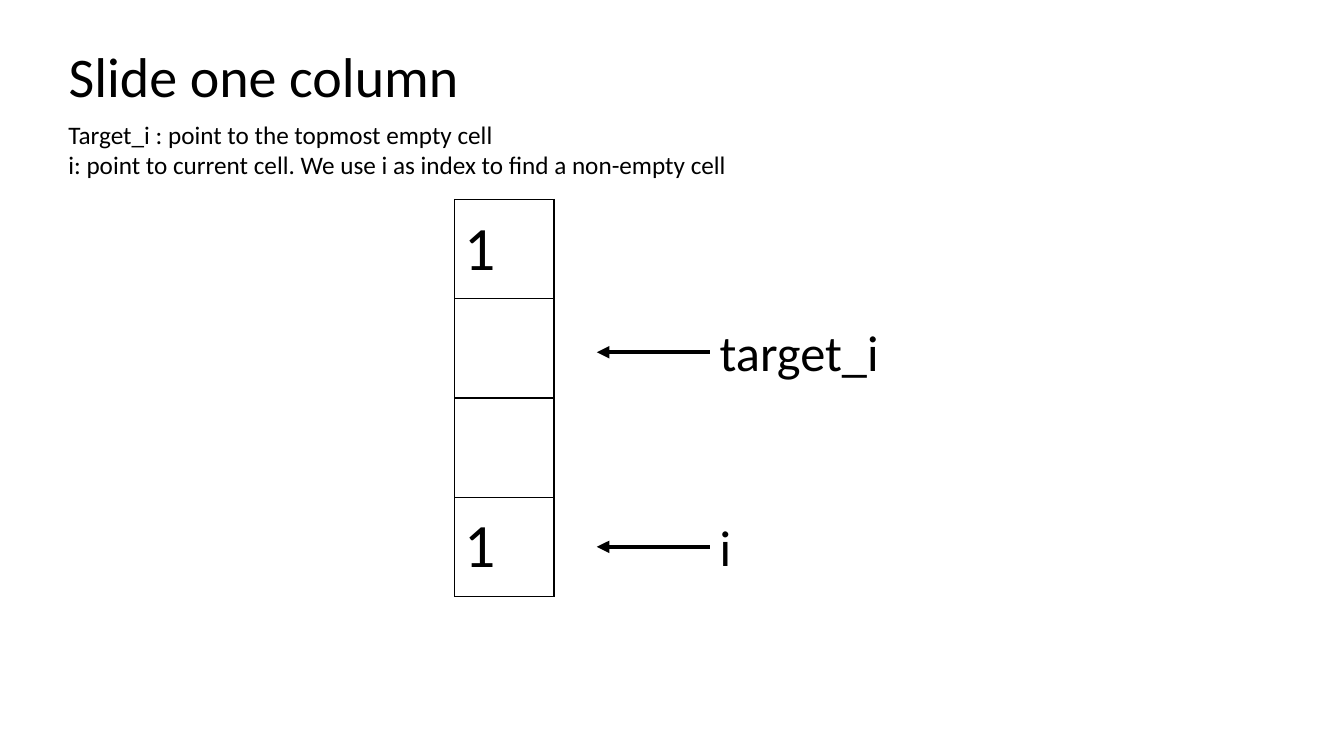
from lxml.etree import SubElement
from pptx import Presentation
from pptx.dml.color import RGBColor
from pptx.enum.shapes import MSO_CONNECTOR
from pptx.enum.text import MSO_ANCHOR, MSO_AUTO_SIZE, PP_ALIGN
from pptx.oxml.ns import qn
from pptx.util import Inches, Pt

TITLE = "Slide one column"
NOTES = [
    "Target_i : point to the topmost empty cell",
    "i: point to current cell. We use i as index to find a non-empty cell",
]
COLUMN = ["1", "", "", "1"]
POINTERS = [("target_i", 3.14), ("i", 5.07)]

FONT = "Calibri"
BLACK = "000000"
CELL_SIZE = 0.985
COLUMN_LEFT, COLUMN_TOP = 4.51, 1.98
POINTER_LEFT, ARROW_TIP = 7.04, 5.92
LABEL_WIDTH, LABEL_HEIGHT = 4.63, 0.71


def color(hex_string):
    return RGBColor.from_string(hex_string)


def write(frame, text, size, align=PP_ALIGN.LEFT):
    frame.text = text
    for paragraph in frame.paragraphs:
        paragraph.alignment = align
        for font in [paragraph.font] + [run.font for run in paragraph.runs]:
            font.name = FONT
            font.size = Pt(size)
            font.color.rgb = color(BLACK)


def add_label(slide, text, left, top, width, height, size, wrap=True):
    label = slide.shapes.add_textbox(
        Inches(left), Inches(top), Inches(width), Inches(height))
    label.text_frame.word_wrap = wrap
    write(label.text_frame, text, size)
    return label


def add_border(cell):
    properties = cell._tc.get_or_add_tcPr()
    for position, side in enumerate(("a:lnL", "a:lnR", "a:lnT", "a:lnB")):
        line = SubElement(properties, qn(side), w=str(Pt(1)))
        fill = SubElement(line, qn("a:solidFill"))
        SubElement(fill, qn("a:srgbClr"), val=BLACK)
        properties.insert(position, line)


def add_title(slide):
    title = slide.shapes.title
    title.left, title.top = Inches(0.58), Inches(0.36)
    title.width, title.height = Inches(7.87), Inches(0.77)
    frame = title.text_frame
    frame.vertical_anchor = MSO_ANCHOR.TOP
    frame.auto_size = MSO_AUTO_SIZE.NONE
    write(frame, TITLE, 40)


def add_column(slide):
    table = slide.shapes.add_table(
        len(COLUMN), 1, Inches(COLUMN_LEFT), Inches(COLUMN_TOP),
        Inches(CELL_SIZE), Inches(CELL_SIZE * len(COLUMN))).table
    table.first_row = False
    table.horz_banding = False
    for row, value in enumerate(COLUMN):
        cell = table.cell(row, 0)
        cell.vertical_anchor = MSO_ANCHOR.MIDDLE
        cell.fill.background()
        write(cell.text_frame, value, 44, PP_ALIGN.JUSTIFY)
        add_border(cell)


def add_pointer(slide, name, top):
    label = add_label(slide, name, POINTER_LEFT, top, LABEL_WIDTH, LABEL_HEIGHT, 36)
    middle = Inches(top + LABEL_HEIGHT / 2)
    arrow = slide.shapes.add_connector(
        MSO_CONNECTOR.STRAIGHT, Inches(POINTER_LEFT), middle, Inches(ARROW_TIP), middle)
    arrow.begin_connect(label, 1)
    arrow.line.color.rgb = color(BLACK)
    arrow.line.width = Pt(3)
    SubElement(arrow.line._get_or_add_ln(), qn("a:tailEnd"), type="triangle")
    SubElement(arrow._element.spPr, qn("a:effectLst"))


def main():
    presentation = Presentation()
    presentation.slide_width = Inches(13.33)
    presentation.slide_height = Inches(7.5)
    slide = presentation.slides.add_slide(presentation.slide_layouts[5])
    add_title(slide)
    add_label(slide, "\n".join(NOTES), 0.58, 1.13, 6.87, 0.71, 18, wrap=False)
    add_column(slide)
    for name, top in POINTERS:
        add_pointer(slide, name, top)
    presentation.save("out.pptx")


if __name__ == "__main__":
    main()
